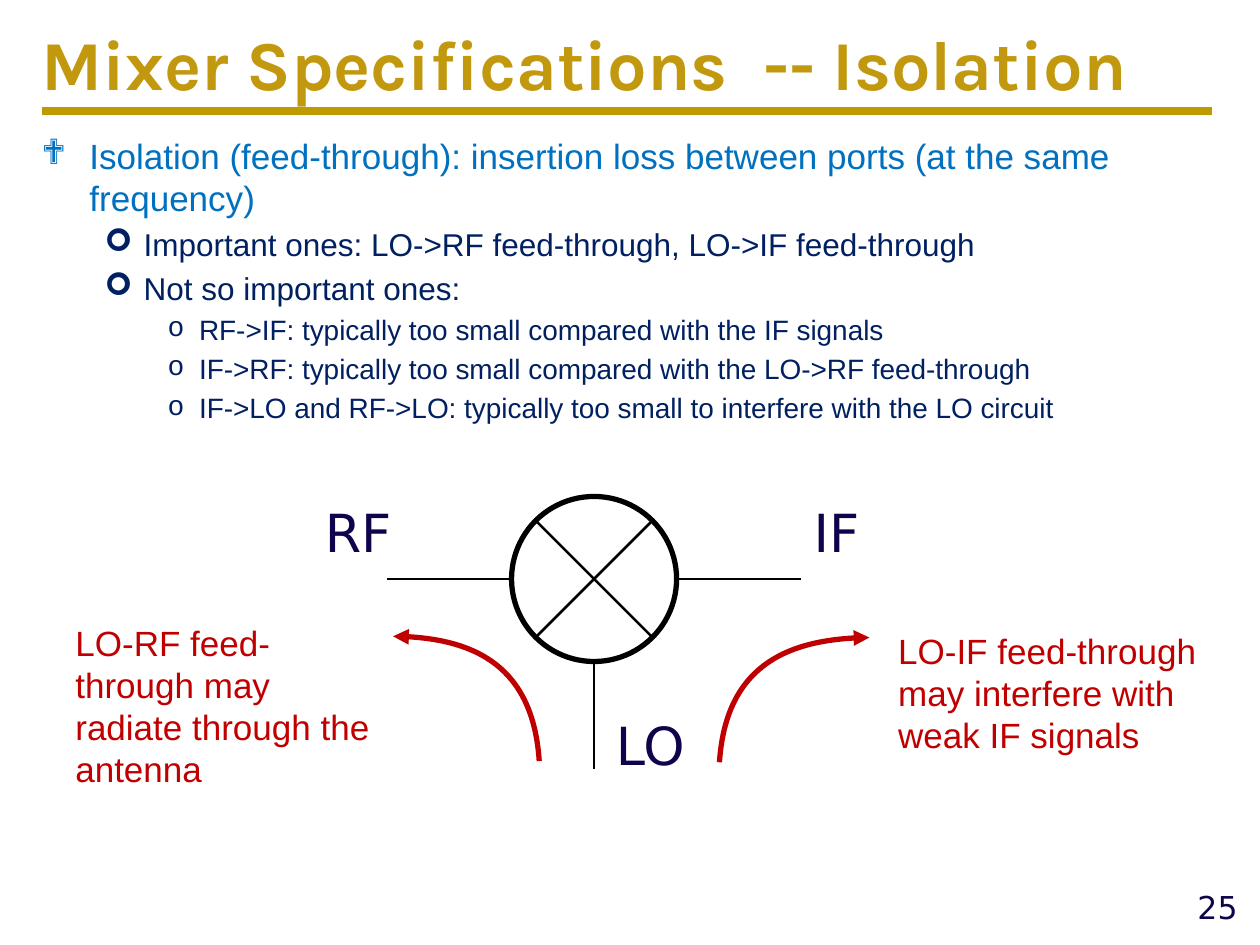
from lxml import etree
from pptx import Presentation
from pptx.dml.color import RGBColor
from pptx.enum.shapes import MSO_CONNECTOR, MSO_SHAPE
from pptx.enum.text import MSO_ANCHOR, PP_ALIGN
from pptx.oxml.ns import qn
from pptx.util import Inches, Pt

GOLD = RGBColor(0xC2, 0x99, 0x0E)
RULE_GOLD = RGBColor(0xBF, 0x99, 0x00)
BLUE = RGBColor(0x00, 0x70, 0xC0)
NAVY = RGBColor(0x00, 0x20, 0x62)
INDIGO = RGBColor(0x10, 0x03, 0x4C)
RED = RGBColor(0xC0, 0x00, 0x00)
BLACK = RGBColor(0, 0, 0)
WHITE = RGBColor(0xFF, 0xFF, 0xFF)

# Outline levels: bullet, bullet font, text indent, hanging indent, size, colour
LEVELS = [
    ("❖", "Wingdings", 0.38, 0.38, 20, BLUE),
    ("➢", "Wingdings", 0.81, 0.31, 18, NAVY),
    ("o", "Courier New", 1.25, 0.25, 16, NAVY),
]
OUTLINE = [
    (0, "Isolation (feed-through): insertion loss between ports (at the same frequency)"),
    (1, "Important ones: LO->RF feed-through, LO->IF feed-through"),
    (1, "Not so important ones:"),
    (2, "RF->IF: typically too small compared with the IF signals"),
    (2, "IF->RF: typically too small compared with the LO->RF feed-through"),
    (2, "IF->LO and RF->LO: typically too small to interfere with the LO circuit"),
]


def format_runs(paragraph, font_name, size, color, bold=False):
    for run in paragraph.runs:
        run.font.name = font_name
        run.font.size = Pt(size)
        run.font.bold = bold
        run.font.color.rgb = color


def add_text(slide, box, text, font_name, size, color, bold=False, wrap=True):
    shape = slide.shapes.add_textbox(*map(Inches, box))
    shape.text_frame.word_wrap = wrap
    shape.text_frame.text = text
    format_runs(shape.text_frame.paragraphs[0], font_name, size, color, bold)
    return shape.text_frame


def add_line(slide, start, end, color=BLACK, width=1.5):
    line = slide.shapes.add_connector(
        MSO_CONNECTOR.STRAIGHT, *map(Inches, (*start, *end)))
    line.line.color.rgb = color
    line.line.width = Pt(width)
    etree.SubElement(line._element.spPr, qn("a:effectLst"))


def add_curved_arrow(slide, start, control_1, control_2, end):
    """Draw one Bezier curve with an arrowhead at its end."""
    builder = slide.shapes.build_freeform(*map(Inches, start), scale=1.0)
    builder.add_line_segments(
        [tuple(map(Inches, point)) for point in (control_1, control_2, end)], close=False)
    shape = builder.convert_to_shape()
    shape.shadow.inherit = False
    shape.fill.background()
    shape.line.color.rgb = RED
    shape.line.width = Pt(3)
    # Turn the three segments into a single cubic curve
    segments = list(shape._element.iter(qn("a:lnTo")))
    outline = segments[0].getparent()
    curve = etree.SubElement(outline, qn("a:cubicBezTo"))
    for segment in segments:
        curve.append(segment[0])
        outline.remove(segment)
    etree.SubElement(shape.line._get_or_add_ln(), qn("a:tailEnd"), type="triangle")


def add_title(slide, left, top, width, height):
    add_line(slide, (left, 0.88), (left + width, 0.88), RULE_GOLD, 4.5)
    frame = add_text(slide, (left, top, width, height),
                     "Mixer Specifications  -- Isolation", "Karla", 40, GOLD, bold=True)
    frame.margin_left = 0
    frame.vertical_anchor = MSO_ANCHOR.MIDDLE


def add_outline(slide, left, top, width, height):
    frame = slide.shapes.add_textbox(*map(Inches, (left, top, width, height))).text_frame
    frame.word_wrap = True
    frame.margin_left = 0
    for index, (level, text) in enumerate(OUTLINE):
        bullet, bullet_font, indent, hanging, size, color = LEVELS[level]
        paragraph = frame.paragraphs[0] if index == 0 else frame.add_paragraph()
        paragraph.text = text
        paragraph.level = level
        paragraph.space_before = Pt(size * 0.2)
        format_runs(paragraph, "Arial", size, color)
        properties = paragraph._p.get_or_add_pPr()
        properties.set("marL", str(Inches(indent)))
        properties.set("indent", str(-Inches(hanging)))
        etree.SubElement(properties, qn("a:buFont"), typeface=bullet_font)
        etree.SubElement(properties, qn("a:buChar"), char=bullet)


def add_mixer(slide, left, top, diameter):
    """Mixer symbol with its three ports."""
    radius = diameter / 2
    center_x, center_y = left + radius, top + radius
    circle = slide.shapes.add_shape(
        MSO_SHAPE.OVAL, *map(Inches, (left, top, diameter, diameter)))
    circle.shadow.inherit = False
    circle.fill.solid()
    circle.fill.fore_color.rgb = WHITE
    circle.line.color.rgb = BLACK
    circle.line.width = Pt(3)

    # Cross inside the circle
    reach = radius * 0.5 ** 0.5
    for sign in (1, -1):
        add_line(slide, (center_x - reach, center_y - sign * reach),
                 (center_x + reach, center_y + sign * reach))

    # Port lines: RF to the left, IF to the right, LO below
    port = 0.99
    add_line(slide, (left, center_y), (left - port, center_y))
    add_line(slide, (left + diameter, center_y), (left + diameter + port, center_y))
    add_line(slide, (center_x, top + diameter), (center_x, top + diameter + 0.85))

    # Port names
    for name, x, y, width in (("RF", 2.48, 3.92, 0.74),
                              ("LO", 4.79, 5.61, 0.76),
                              ("IF", 6.36, 3.92, 0.62)):
        add_text(slide, (x, y, width, 0.61), name, "DejaVu Sans", 30, INDIGO, wrap=False)


def add_feedthrough(slide, left, top, width, height, text, curve):
    add_curved_arrow(slide, *curve)
    add_text(slide, (left, top, width, height), text, "Arial", 20, RED)


def add_page_number(slide, left, top, width, height):
    frame = add_text(slide, (left, top, width, height), "25", "DejaVu Sans", 18, INDIGO)
    frame.paragraphs[0].alignment = PP_ALIGN.RIGHT


def main():
    presentation = Presentation()
    presentation.slide_width = Inches(10)
    presentation.slide_height = Inches(7.5)
    slide = presentation.slides.add_slide(presentation.slide_layouts[6])

    add_page_number(slide, 8.5, 7, 1.42, 0.4)
    add_title(slide, 0.33, 0, 9.29, 1)
    add_outline(slide, 0.33, 1.02, 9.29, 2.04)
    add_mixer(slide, 4.06, 3.94, 1.31)
    add_feedthrough(slide, 0.5, 4.88, 2.63, 1.45,
                    "LO-RF feed-through may radiate through the antenna",
                    ((4.28, 6.04), (4.23, 5.28), (3.69, 5.05), (3.12, 5.05)))
    add_feedthrough(slide, 7.03, 4.95, 2.63, 1.45,
                    "LO-IF feed-through may interfere with weak IF signals",
                    ((5.71, 6.05), (5.76, 5.29), (6.31, 5.06), (6.9, 5.06)))
    presentation.save("out.pptx")


if __name__ == "__main__":
    main()
